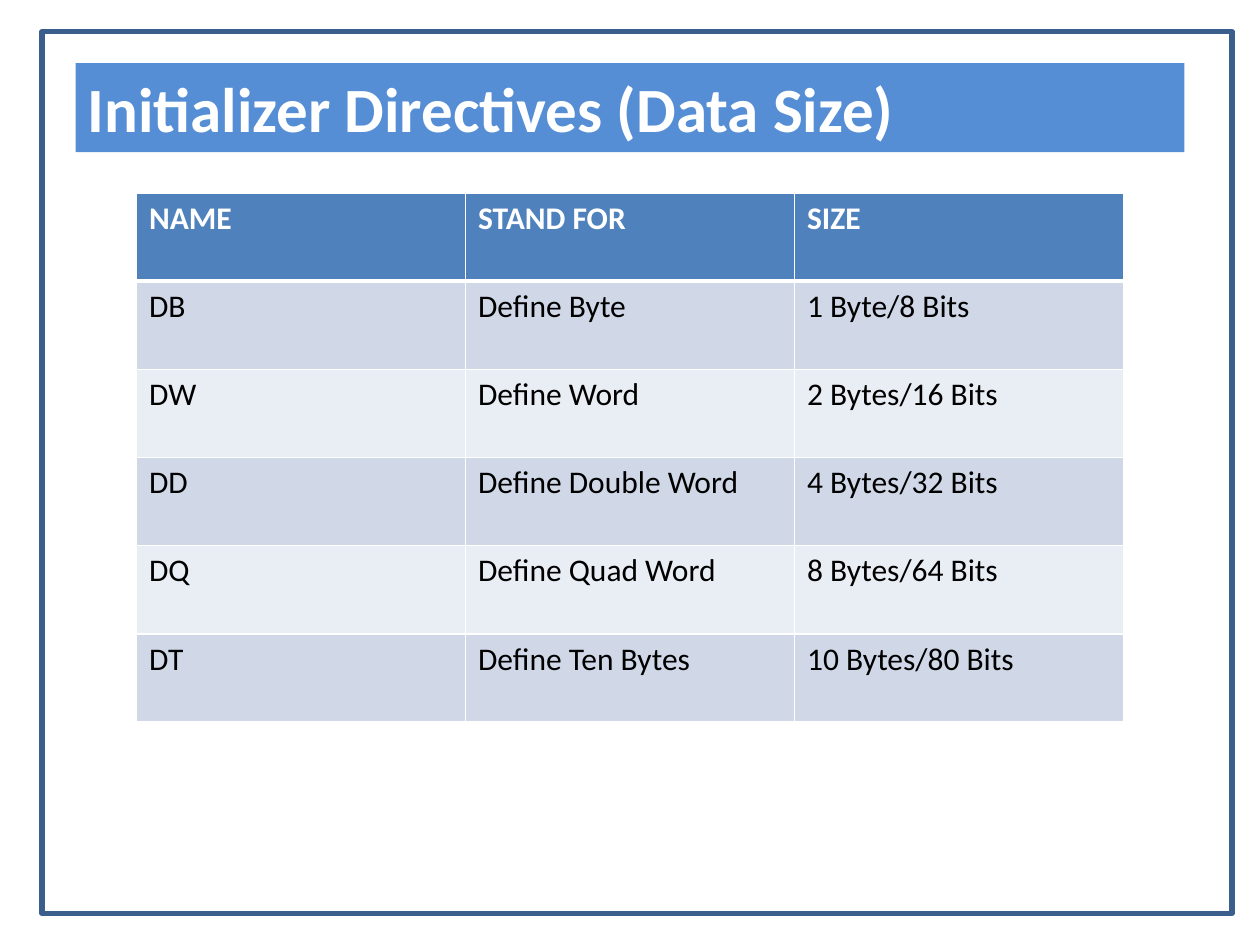
"""Build a slide with a table of assembler data size directives."""
from lxml.etree import SubElement
from pptx import Presentation
from pptx.dml.color import RGBColor
from pptx.enum.shapes import MSO_SHAPE
from pptx.enum.text import MSO_ANCHOR, PP_ALIGN
from pptx.oxml.ns import qn
from pptx.util import Pt

TITLE = "Initializer Directives (Data Size)"
ROWS = [
    ("NAME", "STAND FOR", "SIZE"),
    ("DB", "Define Byte", "1 Byte/8 Bits"),
    ("DW", "Define Word", "2 Bytes/16 Bits"),
    ("DD", "Define Double Word", "4 Bytes/32 Bits"),
    ("DQ", "Define Quad Word", "8 Bytes/64 Bits"),
    ("DT", "Define Ten Bytes", "10 Bytes/80 Bits"),
]
COLORS = {
    "banner": "558ED5",
    "frame": "3A5F8C",
    "header": "4F81BD",
    "odd": "D0D8E8",
    "even": "E9EDF4",
    "white": "FFFFFF",
    "black": "000000",
}
BANNER_BOX = (43.2, 36, 633.6, 51)
FRAME_BOX = (24, 18, 680, 504)
TABLE_LEFT, TABLE_TOP = 78, 110.2
COLUMN_WIDTH, ROW_HEIGHT = 188, 50.4
TITLE_FONT = {"name": "Calibri", "size": Pt(36), "bold": True}
HEADER_FONT = {"name": "Calibri", "size": Pt(18), "bold": True}
BODY_FONT = {"name": "Calibri", "size": Pt(18), "bold": False}


def color(name):
    return RGBColor.from_string(COLORS[name])


def write(text_frame, text, font_values, color_name):
    paragraph = text_frame.paragraphs[0]
    paragraph.alignment = PP_ALIGN.LEFT
    run = paragraph.add_run()
    run.text = text
    for attribute, value in font_values.items():
        setattr(run.font, attribute, value)
    run.font.color.rgb = color(color_name)


def add_rectangle(slide, box):
    shape = slide.shapes.add_shape(MSO_SHAPE.RECTANGLE, *map(Pt, box))
    shape.shadow.inherit = False
    return shape


def add_banner(slide):
    banner = add_rectangle(slide, BANNER_BOX)
    banner.fill.solid()
    banner.fill.fore_color.rgb = color("banner")
    banner.line.fill.background()
    banner.text_frame.word_wrap = True
    banner.text_frame.vertical_anchor = MSO_ANCHOR.MIDDLE
    write(banner.text_frame, TITLE, TITLE_FONT, "white")


def add_frame(slide):
    frame = add_rectangle(slide, FRAME_BOX)
    frame.fill.background()
    frame.line.color.rgb = color("frame")
    frame.line.width = Pt(3)
    SubElement(frame.line._get_or_add_ln(), qn("a:round"))


def add_borders(cell, widths):
    properties = cell._tc.get_or_add_tcPr()
    for side, width in widths.items():
        line = SubElement(properties, qn(f"a:ln{side}"), w=str(Pt(width)))
        fill = SubElement(line, qn("a:solidFill"))
        SubElement(fill, qn("a:srgbClr"), val=COLORS["white"])


def add_directive_table(slide):
    row_count, column_count = len(ROWS), len(ROWS[0])
    table = slide.shapes.add_table(
        row_count, column_count, Pt(TABLE_LEFT), Pt(TABLE_TOP),
        Pt(COLUMN_WIDTH * column_count), Pt(ROW_HEIGHT * row_count),
    ).table
    for column in table.columns:
        column.width = Pt(COLUMN_WIDTH)
    for row_index, texts in enumerate(ROWS):
        table.rows[row_index].height = Pt(ROW_HEIGHT)
        is_header = row_index == 0
        fill_name = "header" if is_header else ("even", "odd")[row_index % 2]
        font, text_color = (HEADER_FONT, "white") if is_header else (BODY_FONT, "black")
        widths = {"L": 1, "R": 1, "T": 3 if row_index == 1 else 1, "B": 3 if is_header else 1}
        for column_index, text in enumerate(texts):
            cell = table.cell(row_index, column_index)
            add_borders(cell, widths)
            cell.fill.solid()
            cell.fill.fore_color.rgb = color(fill_name)
            write(cell.text_frame, text, font, text_color)


def main():
    presentation = Presentation()
    presentation.slide_width, presentation.slide_height = Pt(720), Pt(540)
    slide = presentation.slides.add_slide(presentation.slide_layouts[6])
    add_banner(slide)
    add_frame(slide)
    add_directive_table(slide)
    presentation.save("out.pptx")


if __name__ == "__main__":
    main()
